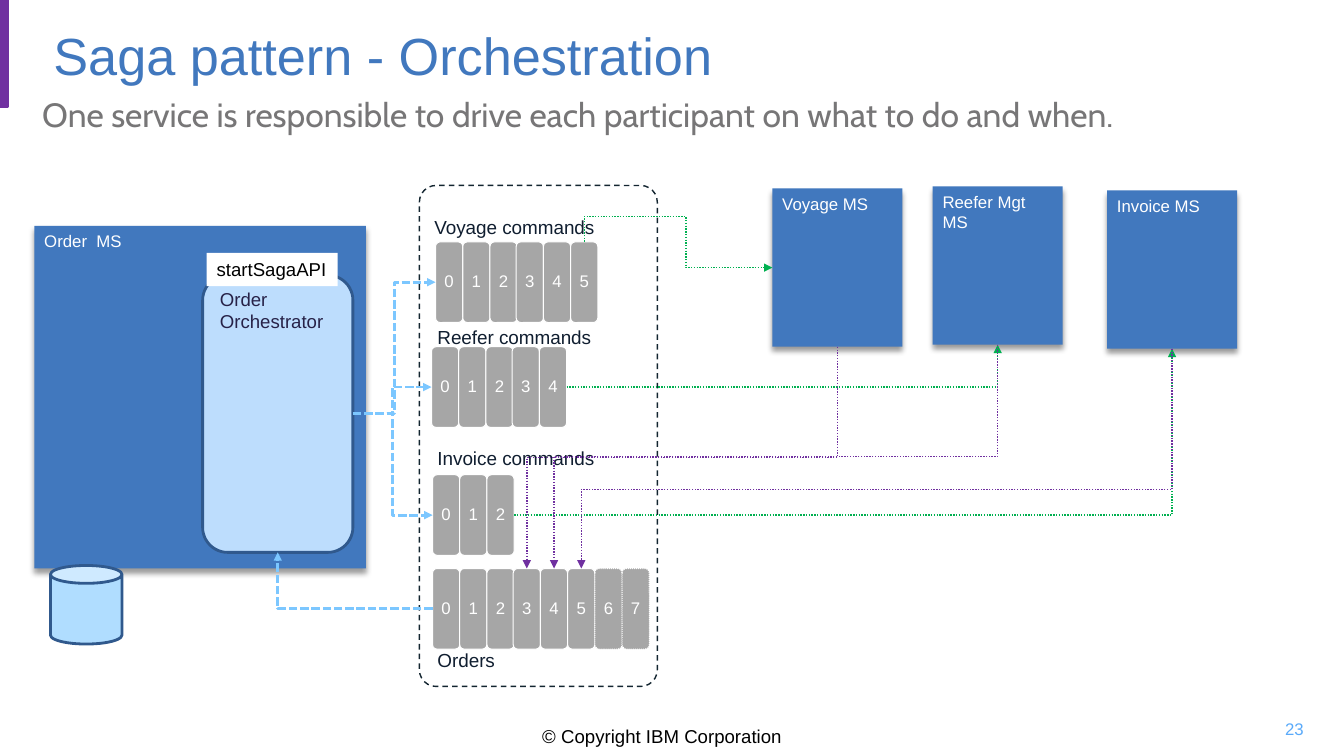
"""Build the slide on saga orchestration between order, voyage, reefer and invoice services."""
import pptx
import pptx.dml.color
import pptx.enum.dml
import pptx.enum.shapes
import pptx.enum.text
import pptx.oxml
import pptx.oxml.ns
import pptx.util

EMU_PER_PX = 9144
COLORS = {
    "purple": "7030A0", "blue": "4178BE", "gray": "777677", "number": "5AAAFA",
    "cell": "A6A6A6", "white": "FFFFFF", "black": "000000", "frame": "132530",
    "label": "101E30", "pale": "BDDDFD", "navy": "30598D", "ink": "272248",
    "command": "7CC7FF", "green": "00B050", "can": "B0DDFF",
}
SHAPES = pptx.enum.shapes.MSO_SHAPE
ALIGN = pptx.enum.text.PP_ALIGN
ANCHOR = pptx.enum.text.MSO_ANCHOR
DASH = pptx.enum.dml.MSO_LINE
TOP, LEFT, BOTTOM, RIGHT = range(4)
CELL_PITCH = 26.8


def px(value):
    return pptx.util.Emu(value * EMU_PER_PX)


def rgb(name):
    return pptx.dml.color.RGBColor.from_string(COLORS[name])


def drawing(tag, content="", **attributes):
    attribute_text = " ".join(f'{key}="{value}"' for key, value in attributes.items())
    namespace = pptx.oxml.ns.nsdecls("a")
    return pptx.oxml.parse_xml(f"<a:{tag} {namespace} {attribute_text}>{content}</a:{tag}>")


class SlideBuilder:
    def __init__(self, slide, font="Arial"):
        self.slide = slide
        self.font = font

    def fill_text(self, shape, text, size, color, font=None, align=ALIGN.LEFT,
                  anchor=ANCHOR.TOP, wrap=True, inset=None, spacing=None):
        frame = shape.text_frame
        frame.text = text
        frame.word_wrap = wrap
        frame.vertical_anchor = anchor
        if inset is not None:
            frame.margin_left = frame.margin_right = px(inset)
            frame.margin_top = frame.margin_bottom = px(inset)
        for paragraph in frame.paragraphs:
            paragraph.alignment = align
            paragraph.line_spacing = spacing
            paragraph.font.name = font or self.font
            paragraph.font.size = pptx.util.Pt(size)
            paragraph.font.color.rgb = rgb(color)

    def title(self, box, text):
        shape = self.slide.shapes.title
        shape.left, shape.top, shape.width, shape.height = map(px, box)
        self.fill_text(shape, text, 37.3, "blue", anchor=ANCHOR.MIDDLE)

    def text(self, box, text, size, color, **style):
        self.fill_text(self.slide.shapes.add_textbox(*map(px, box)), text, size, color, **style)

    def label(self, left, top, width, text, size=13.5, color="label"):
        self.text((left, top, width, 33), text, size, color, wrap=False)

    def shape(self, kind, box, fill=None, line=None, width=1, dash=None):
        shape = self.slide.shapes.add_shape(kind, *map(px, box))
        shape.shadow.inherit = False
        if fill:
            shape.fill.solid()
            shape.fill.fore_color.rgb = rgb(fill)
        else:
            shape.fill.background()
        if line:
            shape.line.color.rgb = rgb(line)
            shape.line.width = pptx.util.Pt(width)
            if dash:
                shape.line.dash_style = dash
        else:
            shape.line.fill.background()
        return shape

    def service(self, box, name):
        shape = self.shape(SHAPES.RECTANGLE, box, "blue")
        self.fill_text(shape, name, 12, "white")
        shadow = drawing(
            "outerShdw",
            f'<a:srgbClr val="{COLORS["black"]}"><a:alpha val="40000"/></a:srgbClr>',
            blurRad=pptx.util.Pt(4), dist=pptx.util.Pt(3), dir=90 * 60000, rotWithShape=0)
        shape._element.spPr.find(pptx.oxml.ns.qn("a:effectLst")).append(shadow)
        return shape

    def queue(self, left, top, count, dotted_from=None):
        cells = []
        for index in range(count):
            dotted = dotted_from is not None and index >= dotted_from
            box = (left + round(index * CELL_PITCH), top, 27, 80)
            cell = self.shape(SHAPES.ROUNDED_RECTANGLE, box, "cell", "white", 0.75,
                              DASH.ROUND_DOT if dotted else None)
            self.fill_text(cell, str(index), 12, "white", align=ALIGN.CENTER,
                           anchor=ANCHOR.MIDDLE, inset=0, spacing=0.9)
            cells.append(cell)
        return cells

    def arrow(self, source, source_site, target, target_site, color,
              bends=3, adjustments=(), width=1, dash=DASH.ROUND_DOT):
        connector = self.slide.shapes.add_connector(
            pptx.enum.shapes.MSO_CONNECTOR.ELBOW, 0, 0, 0, 0)
        connector.begin_connect(source, source_site)
        connector.end_connect(target, target_site)
        properties = connector._element.spPr
        if source_site in (TOP, BOTTOM):
            self.turn(connector, properties.find(pptx.oxml.ns.qn("a:xfrm")))
        geometry = properties.find(pptx.oxml.ns.qn("a:prstGeom"))
        geometry.set("prst", f"bentConnector{bends}")
        guides = geometry.find(pptx.oxml.ns.qn("a:avLst"))
        for number, ratio in enumerate(adjustments, 1):
            guides.append(drawing("gd", name=f"adj{number}", fmla=f"val {round(ratio * 100000)}"))
        connector.line.color.rgb = rgb(color)
        connector.line.width = pptx.util.Pt(width)
        connector.line.dash_style = dash
        connector.line._ln.append(drawing("tailEnd", type="triangle"))
        properties.append(drawing("effectLst"))

    def turn(self, connector, transform):
        run = connector.end_x - connector.begin_x
        drop = connector.end_y - connector.begin_y
        center_x = (connector.begin_x + connector.end_x) // 2
        center_y = (connector.begin_y + connector.end_y) // 2
        for flip in ("flipH", "flipV"):
            transform.attrib.pop(flip, None)
        connector.width, connector.height = abs(drop), abs(run)
        connector.left = center_x - abs(drop) // 2
        connector.top = center_y - abs(run) // 2
        transform.set("rot", str((270 if run > 0 else 90) * 60000))
        if run > 0:
            transform.set("flipH", "1")


def main():
    presentation = pptx.Presentation()
    presentation.slide_width = pptx.util.Inches(13.33)
    presentation.slide_height = pptx.util.Inches(7.5)
    builder = SlideBuilder(presentation.slides.add_slide(presentation.slide_layouts[5]))

    builder.shape(SHAPES.RECTANGLE, (0, 0, 8, 106), "purple", "purple", 2)
    builder.label(528, 714, 266, "© Copyright IBM Corporation", 13.3, "black")
    builder.title((43, 6, 1224, 96), "Saga pattern - Orchestration")
    builder.text((32, 88, 1212, 120),
                 "One service is responsible to drive each participant on what to do and when.",
                 24, "gray", font="Cabin")
    builder.text((1245, 703, 58, 40), "23", 12, "number", align=ALIGN.RIGHT, anchor=ANCHOR.MIDDLE)

    reefer_service = builder.service((925, 185, 129, 157), "Reefer Mgt MS")
    voyage_service = builder.service((766, 187, 129, 157), "Voyage MS")
    invoice_service = builder.service((1098, 189, 129, 157), "Invoice MS")
    builder.service((34, 224, 329, 340), "Order  MS")

    orchestrator = builder.shape(SHAPES.ROUNDED_RECTANGLE, (201, 273, 149, 275), "pale", "navy", 2)
    builder.fill_text(orchestrator, "Order\nOrchestrator", 13.3, "ink")
    api = builder.shape(SHAPES.RECTANGLE, (205, 251, 130, 33), "white")
    builder.fill_text(api, "startSagaAPI", 13.3, "black", wrap=False)
    builder.shape(SHAPES.CAN, (50, 561, 71, 78), "can", "navy", 2)

    broker = builder.shape(SHAPES.ROUNDED_RECTANGLE, (416, 184, 236, 497),
                           line="frame", dash=DASH.DASH)
    broker.adjustments[0] = 0.07
    voyage_queue = builder.queue(432, 240, 6)
    reefer_queue = builder.queue(428, 344, 5)
    invoice_queue = builder.queue(429, 471, 3)
    orders_queue = builder.queue(429, 564, 8, dotted_from=6)
    builder.label(421, 209, 181, "Voyage commands")
    builder.label(424, 318, 175, "Reefer commands")
    builder.label(424, 438, 178, "Invoice commands")
    builder.label(424, 639, 78, "Orders")

    command_style = {"color": "command", "width": 2, "dash": DASH.SQUARE_DOT}
    for queue in (voyage_queue, reefer_queue, invoice_queue):
        builder.arrow(orchestrator, RIGHT, queue[0], LEFT, **command_style)
    builder.arrow(orders_queue[0], LEFT, orchestrator, BOTTOM, bends=2, **command_style)

    builder.arrow(voyage_queue[-1], TOP, voyage_service, LEFT, "green", 4, (-0.99, 0.54))
    for queue, service in ((reefer_queue, reefer_service), (invoice_queue, invoice_service)):
        builder.arrow(queue[-1], RIGHT, service, BOTTOM, "green", 2)
    replies = ((voyage_service, 3, 0.5), (reefer_service, 4, 0.5), (invoice_service, 5, 0.64))
    for service, position, bend in replies:
        builder.arrow(service, BOTTOM, orders_queue[position], TOP, "purple", adjustments=(bend,))

    presentation.save("out.pptx")


if __name__ == "__main__":
    main()
